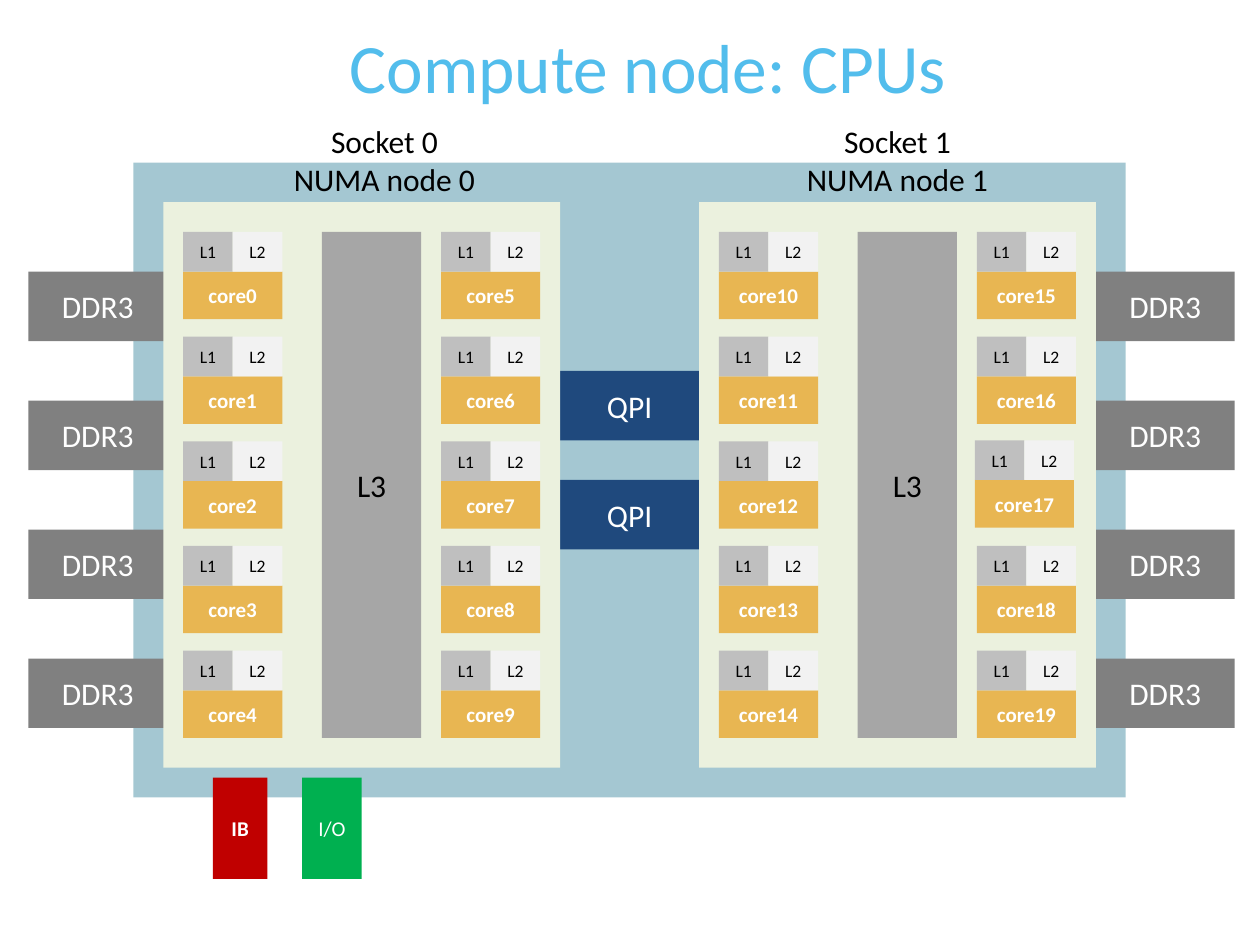
"""Draw a two-socket compute node on a grid of 2 mm cells."""
from dataclasses import dataclass
from typing import Optional

from lxml import etree
from pptx import Presentation
from pptx import util as u
from pptx.dml.color import RGBColor
from pptx.enum import shapes, text
from pptx.oxml import ns

CELL = u.Mm(2)
ORIGIN_LEFT, ORIGIN_TOP = u.Inches(1.06), u.Inches(1.29)
FONT = "Calibri"

BLACK = RGBColor(0x00, 0x00, 0x00)
WHITE = RGBColor(0xFF, 0xFF, 0xFF)
SKY = RGBColor(0x52, 0xBD, 0xEC)
TEAL = RGBColor(0x11, 0x6E, 0x8A)
GRAY = RGBColor(0x80, 0x80, 0x80)
NAVY = RGBColor(0x1F, 0x49, 0x7D)
PALE_GREEN = RGBColor(0xEB, 0xF1, 0xDE)
L3_GRAY = RGBColor(0xA6, 0xA6, 0xA6)
L1_GRAY = RGBColor(0xBF, 0xBF, 0xBF)
L2_GRAY = RGBColor(0xF2, 0xF2, 0xF2)
AMBER = RGBColor(0xE8, 0xB6, 0x52)
RED = RGBColor(0xC0, 0x00, 0x00)
GREEN = RGBColor(0x00, 0xB0, 0x50)

SOCKET_COLUMNS = (3, 57)
LABEL_COLUMNS = (13.55, 65.25)
SOCKET_ROW = 4
CORE_COLUMNS = (2, 28)
CORES_PER_COLUMN = 5
CORE_WIDTH, CORE_HEIGHT, CACHE_HEIGHT = 10, 4.8, 4
L3_HEIGHT = 51
CORE_PITCH = (L3_HEIGHT - CACHE_HEIGHT - CORE_HEIGHT) / (CORES_PER_COLUMN - 1)
CORE_SHIFTS = {17: (-0.2, -0.1)}
MEMORY_COLUMNS = (-10.6, 97)
MEMORY_ROW, MEMORY_PITCH, MEMORY_COUNT = 11, 13, 4


@dataclass(frozen=True)
class Area:
    """A rectangle in grid columns and rows, measured from the board's corner."""
    column: float
    row: float
    width: float
    height: float

    def lengths(self) -> tuple:
        """Return left, top, width and height as slide lengths."""
        return (u.Emu(round(ORIGIN_LEFT + self.column * CELL)),
                u.Emu(round(ORIGIN_TOP + self.row * CELL)),
                u.Emu(round(self.width * CELL)),
                u.Emu(round(self.height * CELL)))


@dataclass(frozen=True)
class Block:
    """A filled rectangle with an optional label."""
    area: Area
    fill: RGBColor
    label: str = ""
    size: float = 18
    color: RGBColor = WHITE
    bold: bool = False
    opacity: Optional[int] = None


def write(frame, wording: str, *, size: float, color: RGBColor,
          bold: bool = False, anchor=text.MSO_ANCHOR.MIDDLE) -> None:
    """Write centred lines into a text frame."""
    frame.word_wrap = True
    frame.vertical_anchor = anchor
    for index, line in enumerate(wording.split("\n")):
        para = frame.add_paragraph() if index else frame.paragraphs[0]
        para.alignment = text.PP_ALIGN.CENTER
        span = para.add_run()
        span.text = line
        span.font.name = FONT
        span.font.size = u.Pt(size)
        span.font.bold = bold
        span.font.color.rgb = color


def draw_block(canvas, block: Block) -> None:
    """Draw one block in a shape collection."""
    box = canvas.add_shape(shapes.MSO_SHAPE.RECTANGLE, *block.area.lengths())
    box.shadow.inherit = False
    box.line.fill.background()
    box.fill.solid()
    box.fill.fore_color.rgb = block.fill
    if block.opacity is not None:
        tint = box.fill._xPr.find(".//" + ns.qn("a:srgbClr"))
        etree.SubElement(tint, ns.qn("a:alpha")).set("val", str(block.opacity * 1000))
    if block.label:
        frame = box.text_frame
        frame.margin_left = frame.margin_right = 0
        frame.margin_top = frame.margin_bottom = 0
        write(frame, block.label, size=block.size, color=block.color, bold=block.bold)


def draw_text(canvas, area: Area, wording: str, **text_format) -> None:
    """Draw a plain text box."""
    box = canvas.add_textbox(*area.lengths())
    write(box.text_frame, wording, **text_format)


def draw_core(canvas, number: int, column: float, row: float) -> None:
    """Draw a core with its two private caches above it."""
    half = CORE_WIDTH / 2
    draw_block(canvas, Block(Area(column, row + CACHE_HEIGHT, CORE_WIDTH, CORE_HEIGHT),
                             AMBER, f"core{number}", 12, bold=True))
    for index, (label, fill) in enumerate((("L1", L1_GRAY), ("L2", L2_GRAY))):
        draw_block(canvas, Block(Area(column + index * half, row, half, CACHE_HEIGHT),
                                 fill, label, 10, BLACK))


def draw_socket(page, socket: int, left: float) -> None:
    """Draw a socket with its shared cache and two columns of cores."""
    canvas = page.shapes.add_group_shape().shapes
    top = SOCKET_ROW + 3
    draw_block(canvas, Block(Area(left, SOCKET_ROW, 40, 57), PALE_GREEN))
    draw_block(canvas, Block(Area(left + 16, top, 10, L3_HEIGHT), L3_GRAY, "L3", color=BLACK))
    for index in range(len(CORE_COLUMNS) * CORES_PER_COLUMN):
        side, place = divmod(index, CORES_PER_COLUMN)
        number = socket * len(CORE_COLUMNS) * CORES_PER_COLUMN + index
        across, down = CORE_SHIFTS.get(number, (0, 0))
        draw_core(canvas, number, left + CORE_COLUMNS[side] + across,
                  top + place * CORE_PITCH + down)


def main() -> None:
    """Build and save the slide."""
    deck = Presentation()
    deck.slide_width, deck.slide_height = u.Inches(10), u.Inches(7.5)
    page = deck.slides.add_slide(deck.slide_layouts[6])

    draw_text(page.shapes, Area(-6, -13.85, 115.7, 8.1), "Compute node: CPUs",
              size=39.6, color=SKY)
    draw_block(page.shapes, Block(Area(0, 0, 100, 64), TEAL, opacity=38))
    for column in MEMORY_COLUMNS:
        for index in range(MEMORY_COUNT):
            row = MEMORY_ROW + index * MEMORY_PITCH
            draw_block(page.shapes, Block(Area(column, row, 14, 7), GRAY, "DDR3"))
    for row in (21, 32):
        draw_block(page.shapes, Block(Area(43, row, 14, 7), NAVY, "QPI"))
    for socket, column in enumerate(LABEL_COLUMNS):
        draw_text(page.shapes, Area(column, -4.7, 23.5, 12.8),
                  f"Socket {socket}\nNUMA node {socket}",
                  size=18, color=BLACK, anchor=text.MSO_ANCHOR.TOP)
    for socket, column in enumerate(SOCKET_COLUMNS):
        draw_socket(page, socket, column)
    draw_block(page.shapes, Block(Area(8, 62, 5.5, 10.2), RED, "IB", 12, bold=True))
    draw_block(page.shapes, Block(Area(17, 62, 6, 10.2), GREEN, "I/O", 12))

    deck.save("out.pptx")


if __name__ == "__main__":
    main()
